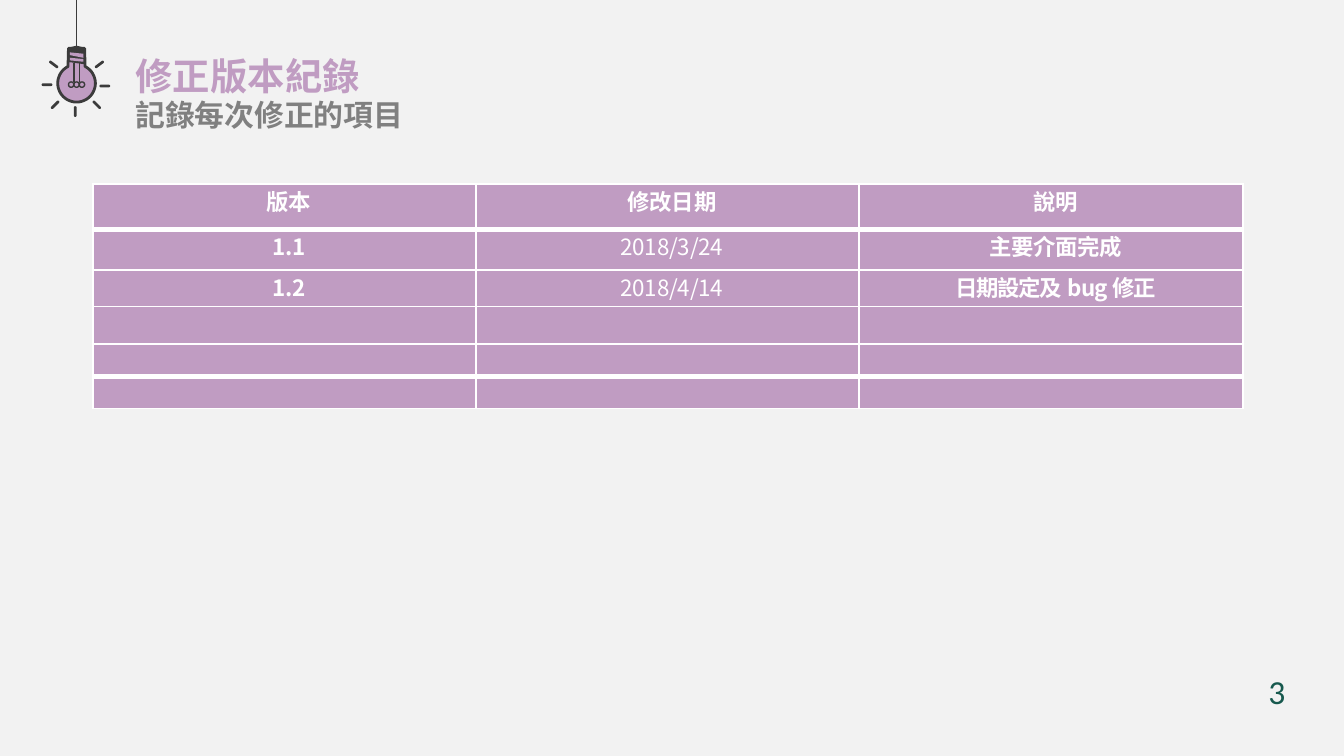
import math
import lxml.etree
import pptx
import pptx.dml.color
import pptx.enum.shapes
import pptx.enum.text
import pptx.oxml.ns
import pptx.util

Inches = pptx.util.Inches
Pt = pptx.util.Pt
qn = pptx.oxml.ns.qn
theme = {
    "paper": "F2F2F2", "main": "C09CC2", "ink": "3B3B3B", "gray": "808080",
    "white": "FFFFFF", "green": "17594E", "cjk": "Noto Sans CJK SC",
    "title": 20, "sub": 16, "cell": 12, "page": 18,
}
rgb = {key: pptx.dml.color.RGBColor.from_string(theme[key])
       for key in ("paper", "main", "ink", "gray", "white", "green")}


def write(para, text, size, color, face=theme["cjk"], bold=False, gap=0):
    run = para.add_run()
    run.text = text
    run.font.size = Pt(theme[size])
    run.font.bold = bold
    run.font.color.rgb = rgb[color]
    run.font.name = face
    props = run.font._element
    lxml.etree.SubElement(props, qn("a:ea")).set("typeface", face)
    if gap:
        props.set("spc", str(round(gap * 100)))


def draw(points, fill=None, line=None, width=1, close=True):
    spots = [(Inches(x), Inches(y)) for x, y in points]
    pen = bulb.shapes.build_freeform(*spots[0])
    pen.add_line_segments(spots[1:], close=close)
    shape = pen.convert_to_shape()
    shape.shadow.inherit = False
    if fill:
        shape.fill.solid()
        shape.fill.fore_color.rgb = rgb[fill]
    else:
        shape.fill.background()
    if line:
        shape.line.color.rgb = rgb[line]
        shape.line.width = Pt(width)
    else:
        shape.line.fill.background()


deck = pptx.Presentation()
deck.slide_width = Inches(10)
deck.slide_height = Inches(10) * 9 // 16
slide = deck.slides.add_slide(deck.slide_layouts[6])
slide.background.fill.solid()
slide.background.fill.fore_color.rgb = rgb["paper"]

labels = [
    ((0.91, 0.35, 1.88, 0.44), False, "修正版本紀錄", "title", "main", theme["cjk"], True),
    ((0.91, 0.67, 2.24, 0.37), False, "記錄每次修正的項目", "sub", "gray", "Arial", True),
    ((9.34, 4.94, 0.63, 0.4), True, "3", "page", "green", "Calibri", False),
]
for place, wrap, text, size, color, face, bold in labels:
    frame = slide.shapes.add_textbox(*map(Inches, place)).text_frame
    frame.word_wrap = wrap
    write(frame.paragraphs[0], text, size, color, face=face, bold=bold)

bulb = slide.shapes.add_group_shape()
mid, low = 0.57, 0.62
arc = [(mid + 0.14 * math.cos(math.radians(a)), low + 0.14 * math.sin(math.radians(a)))
       for a in range(-63, 244, 6)]
draw([(0.51, 0.36), (0.63, 0.36)] + arc, fill="main", line="ink", width=1.5)
draw([(0.5, 0.36), (0.53, 0.35), (mid, 0.34), (0.61, 0.35), (0.64, 0.36),
      (0.64, 0.48), (0.5, 0.46)], fill="ink")
draw([(0.52, 0.39), (0.62, 0.4), (0.62, 0.43), (0.52, 0.41)], fill="main")
draw([(0.52, 0.43), (0.62, 0.44), (0.62, 0.46), (0.52, 0.45)], fill="main")
for side in (-0.02, 0.02):
    draw([(mid + side, 0.47), (mid + side, 0.61)], line="ink", width=0.75, close=False)
for side in (-0.04, 0, 0.04):
    ring = [(mid + side + 0.02 * math.cos(math.radians(a)),
             0.63 + 0.02 * math.sin(math.radians(a))) for a in range(0, 360, 30)]
    draw(ring, line="ink", width=0.75)

rays = [(0.78, 0.64, 0), (0.56, 0.83, 90), (0.35, 0.63, 0), (0.4, 0.48, 37),
        (0.74, 0.48, -37), (0.41, 0.78, -45), (0.72, 0.78, 45)]
for x, y, turn in rays:
    tilt = math.radians(turn)
    edge = []
    for way in (1, -1):
        for step in range(-90, 91, 30):
            a = math.radians(step)
            u = way * (0.03 + 0.01 * math.cos(a))
            v = way * 0.01 * math.sin(a)
            edge.append((x + u * math.cos(tilt) - v * math.sin(tilt),
                         y + u * math.sin(tilt) + v * math.cos(tilt)))
    draw(edge, fill="ink")

cord = bulb.shapes.add_connector(pptx.enum.shapes.MSO_CONNECTOR.STRAIGHT,
                                 Inches(mid), Inches(0.37), Inches(mid), Inches(0))
cord.line.color.rgb = rgb["ink"]
cord.line.width = Pt(1)
lxml.etree.SubElement(cord._element.spPr, qn("a:effectLst"))

rows = [
    [[("版本", -0.3)], [("修改", -0.2), ("日期", -0.1)], [("說明", -0.3)]],
    [[("1.1", -0.2)], [("2018/3/24", -0.1)], [("主要介面完成", -0.1)]],
    [[("1.2", -0.2)], [("2018/4/14", -0.1)],
     [("日期設定及", -0.7), (" bug ", -0.3), ("修正", -0.7)]],
] + [[[], [], []]] * 3
highs = [0.34, 0.3, 0.27, 0.28, 0.24, 0.24]
thick = {0, 4}
table = slide.shapes.add_table(6, 3, Inches(0.69), Inches(1.37),
                               Inches(8.56), Inches(1.67)).table
table.first_row = False
table.horz_banding = False
for col, wide in zip(table.columns, (2.85, 2.85, 2.86)):
    col.width = Inches(wide)
for i, row in enumerate(rows):
    table.rows[i].height = Inches(highs[i])
    for j, runs in enumerate(row):
        cell = table.cell(i, j)
        cell.margin_left = cell.margin_right = cell.margin_top = cell.margin_bottom = 0
        props = cell._tc.get_or_add_tcPr()
        sides = {"L": 1, "R": 1, "T": 3 if i - 1 in thick else 1, "B": 3 if i in thick else 1}
        for side, width in sides.items():
            line = lxml.etree.SubElement(props, qn("a:ln" + side), w=str(Pt(width)))
            paint = lxml.etree.SubElement(line, qn("a:solidFill"))
            lxml.etree.SubElement(paint, qn("a:srgbClr"), val=theme["white"])
        cell.fill.solid()
        cell.fill.fore_color.rgb = rgb["main"]
        para = cell.text_frame.paragraphs[0]
        if not runs:
            lxml.etree.SubElement(para._p, qn("a:endParaRPr"), sz=str(theme["cell"] * 100))
            continue
        para.alignment = pptx.enum.text.PP_ALIGN.CENTER
        para.space_before = Pt(2 if i == 0 else 1.9)
        para._p.get_or_add_pPr().set("marL", str(Inches(0.07)))
        for text, gap in runs:
            write(para, text, "cell", "white", bold=i == 0 or j != 1, gap=gap)

deck.save("out.pptx")
